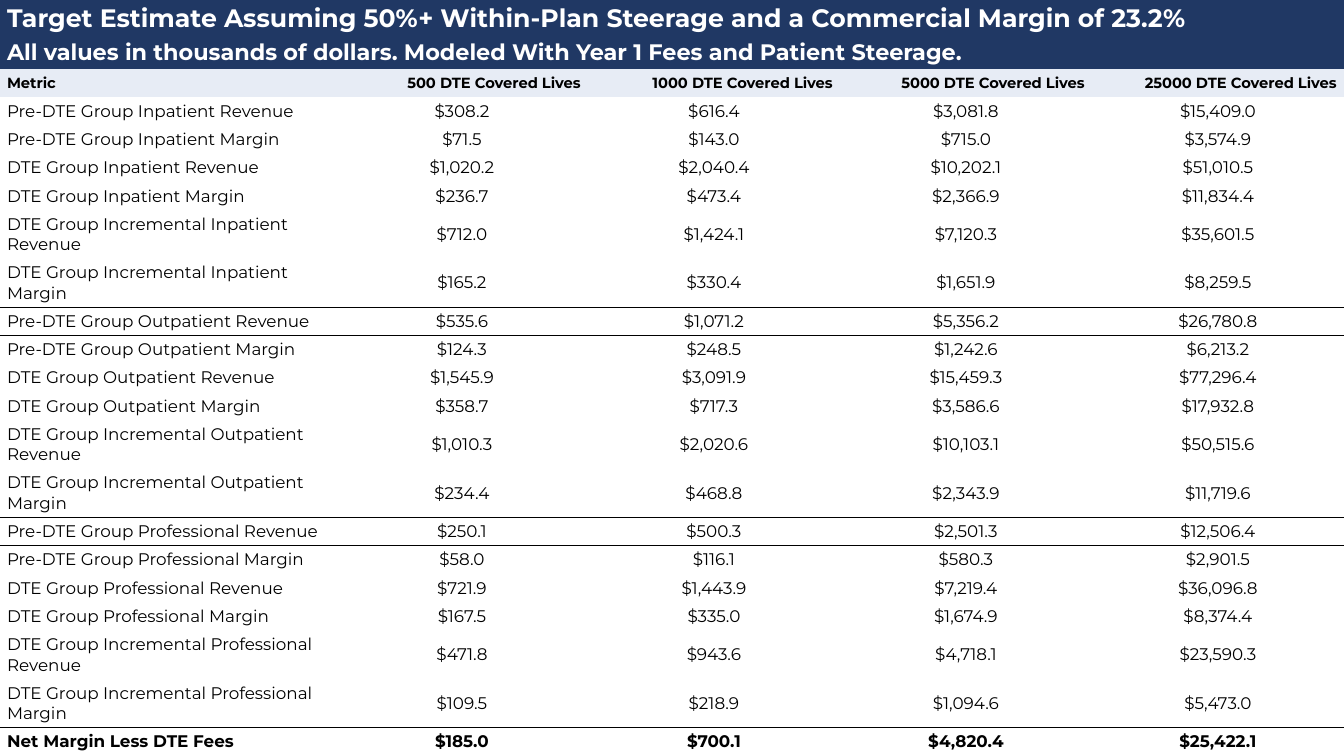
from itertools import product

from lxml.etree import SubElement
from pptx import Presentation
from pptx.dml.color import RGBColor
from pptx.enum.text import MSO_ANCHOR, PP_ALIGN as Align
from pptx.oxml import parse_xml
from pptx.oxml.ns import nsdecls, qn
from pptx.util import Inches, Pt

NAVY = RGBColor(0x20, 0x38, 0x64)
PALE = RGBColor(0xE7, 0xEC, 0xF5)
WHITE = RGBColor(0xFF, 0xFF, 0xFF)
BLACK = RGBColor(0x00, 0x00, 0x00)

PLAIN_TABLE_STYLE = "{2D5ABB26-0587-4C30-8999-92F81FD0307C}"
COLUMN_SHARES = [0.25] + [0.1875] * 4
SHORT, TALL = 0.28, 0.48

TITLES = [
    ("Target Estimate Assuming 50%+ Within-Plan Steerage and a Commercial Margin of 23.2%", 18, 0.36),
    ("All values in thousands of dollars. Modeled With Year 1 Fees and Patient Steerage.", 16, 0.32),
]
COVERED_LIVES = [500, 1000, 5000, 25000]
STAGES = ["Pre-DTE Group", "DTE Group", "DTE Group Incremental"]
MEASURES = ["Revenue", "Margin"]
# One row per stage and measure, one column per number of covered lives
CARE_VALUES = {
    "Inpatient": [
        (308.2, 616.4, 3081.8, 15409.0),
        (71.5, 143.0, 715.0, 3574.9),
        (1020.2, 2040.4, 10202.1, 51010.5),
        (236.7, 473.4, 2366.9, 11834.4),
        (712.0, 1424.1, 7120.3, 35601.5),
        (165.2, 330.4, 1651.9, 8259.5),
    ],
    "Outpatient": [
        (535.6, 1071.2, 5356.2, 26780.8),
        (124.3, 248.5, 1242.6, 6213.2),
        (1545.9, 3091.9, 15459.3, 77296.4),
        (358.7, 717.3, 3586.6, 17932.8),
        (1010.3, 2020.6, 10103.1, 50515.6),
        (234.4, 468.8, 2343.9, 11719.6),
    ],
    "Professional": [
        (250.1, 500.3, 2501.3, 12506.4),
        (58.0, 116.1, 580.3, 2901.5),
        (721.9, 1443.9, 7219.4, 36096.8),
        (167.5, 335.0, 1674.9, 8374.4),
        (471.8, 943.6, 4718.1, 23590.3),
        (109.5, 218.9, 1094.6, 5473.0),
    ],
}
NET_MARGIN = (185.0, 700.1, 4820.4, 25422.1)


class TablePage:
    font = "Montserrat"
    indent = Inches(0.07)

    def __init__(self, deck):
        self.width, self.height = deck.slide_width, deck.slide_height
        self.page = deck.slides.add_slide(deck.slide_layouts[6])

    def add_table(self, column_shares, row_weights):
        """Add a full-page table without banding; row weights share its height."""
        frame = self.page.shapes.add_table(
            len(row_weights), len(column_shares), 0, 0, self.width, self.height)
        self.table = frame.table
        self.table.first_row = self.table.horz_banding = False
        for style in frame.element.iter(qn("a:tableStyleId")):
            style.text = PLAIN_TABLE_STYLE
        for column, share in zip(self.table.columns, column_shares):
            column.width = round(self.width * share)
        for row, weight in zip(self.table.rows, row_weights):
            row.height = round(self.height * weight / sum(row_weights))

    def write_cell(self, row, column, text, size, color=BLACK, bold=False,
                   align=Align.LEFT, fill=None):
        cell = self.table.cell(row, column)
        cell.margin_left = cell.margin_right = cell.margin_top = cell.margin_bottom = 0
        cell.vertical_anchor = MSO_ANCHOR.MIDDLE
        if fill is None:
            cell.fill.background()
        else:
            cell.fill.solid()
            cell.fill.fore_color.rgb = fill
        para = cell.text_frame.paragraphs[0]
        para.alignment = align
        para.space_after = Pt(0.1)
        properties = para._p.get_or_add_pPr()
        for side in ("marL", "marR"):
            properties.set(side, str(self.indent))
        properties.set("indent", "0")
        span = para.add_run()
        span.text = text
        span.font.name, span.font.size = self.font, Pt(size)
        span.font.bold, span.font.color.rgb = bold, color

    def write_title(self, row, text, size):
        last = len(self.table.columns) - 1
        self.table.cell(row, 0).merge(self.table.cell(row, last))
        self.write_cell(row, 0, text, size, WHITE, True, fill=NAVY)

    def write_row(self, row, texts, size, align, bold=False, fill=None):
        for column, text in enumerate(texts):
            self.write_cell(row, column, text, size, bold=bold, fill=fill,
                            align=align if column else Align.LEFT)

    def rule_below(self, row):
        """Draw a line between this row and the next one."""
        for column in range(len(self.table.columns)):
            for edge_row, edge in ((row, "lnB"), (row + 1, "lnT")):
                line = parse_xml(f'<a:{edge} {nsdecls("a")} w="{Pt(1)}"/>')
                solid = SubElement(line, qn("a:solidFill"))
                SubElement(solid, qn("a:srgbClr"), val=str(BLACK))
                cell = self.table.cell(edge_row, column)
                cell._tc.get_or_add_tcPr().insert(0, line)


def dollars(values):
    return [f"${value:,.1f}" for value in values]


def main():
    deck = Presentation()
    deck.slide_width, deck.slide_height = Inches(13.33), Inches(7.5)
    page = TablePage(deck)

    care_weights = [SHORT] * 4 + [TALL] * 2
    page.add_table(COLUMN_SHARES, [weight for _, _, weight in TITLES] + [SHORT]
                   + care_weights * len(CARE_VALUES) + [SHORT])
    for row, (text, size, _) in enumerate(TITLES):
        page.write_title(row, text, size)

    row = len(TITLES)
    headings = ["Metric"] + [f"{lives} DTE Covered Lives" for lives in COVERED_LIVES]
    page.write_row(row, headings, 10.5, Align.RIGHT, bold=True, fill=PALE)
    for care, care_rows in CARE_VALUES.items():
        for (stage, measure), values in zip(product(STAGES, MEASURES), care_rows):
            row += 1
            label = f"{stage} {care} {measure}"
            page.write_row(row, [label] + dollars(values), 12, Align.CENTER)
        page.rule_below(row)
    page.write_row(row + 1, ["Net Margin Less DTE Fees"] + dollars(NET_MARGIN),
                   12, Align.CENTER, bold=True)
    deck.save("out.pptx")


if __name__ == "__main__":
    main()
